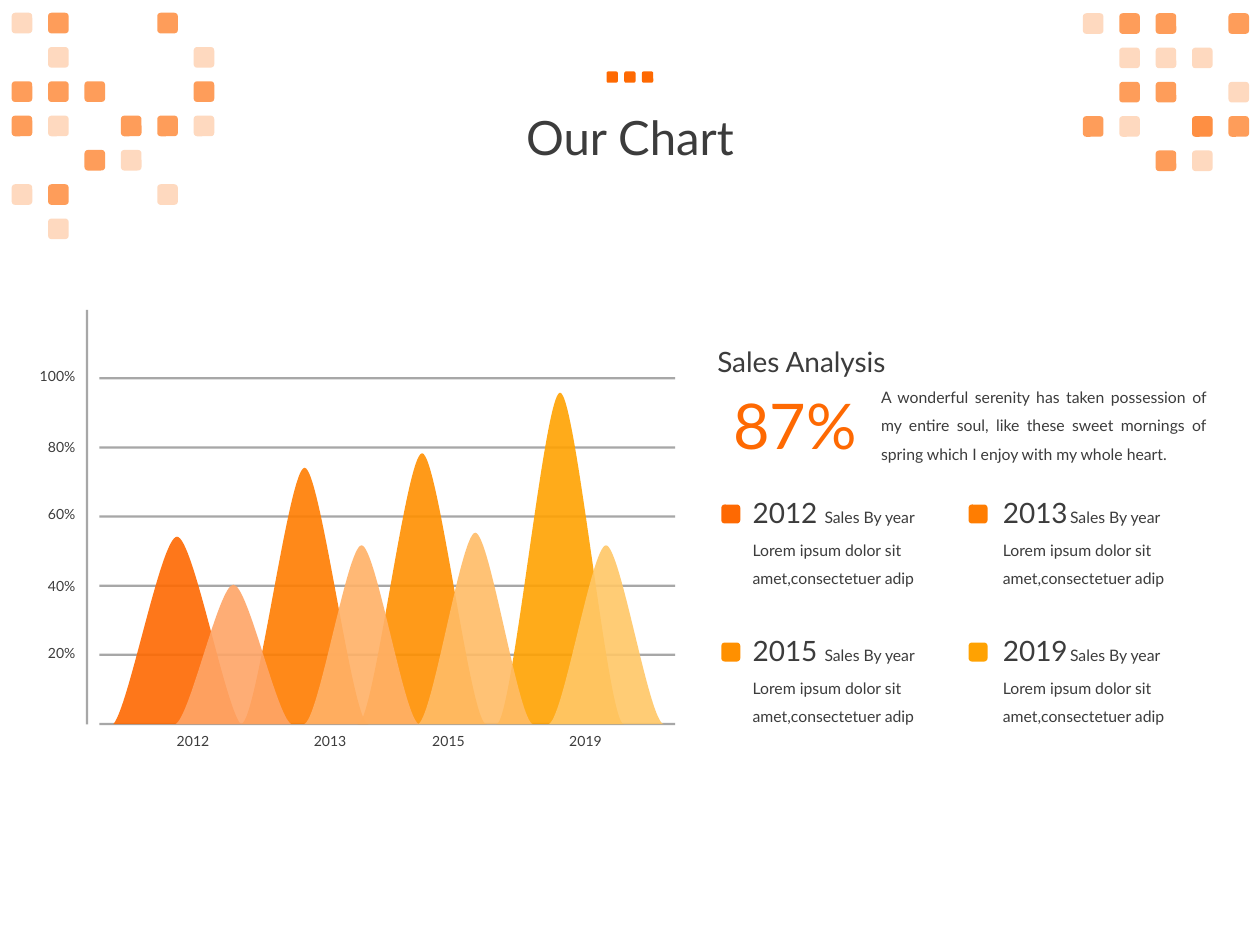
from typing import NamedTuple

from lxml.etree import SubElement
from pptx import Presentation
from pptx.dml.color import RGBColor
from pptx.enum.shapes import MSO_SHAPE
from pptx.enum.text import MSO_ANCHOR, PP_ALIGN
from pptx.oxml.ns import qn
from pptx.util import Pt

FONT = "Lato"
INK = "3C3C3C"
ORANGE = "FE6902"
GREY = "9E9E9E"
BASELINE = 413.8


class Peak(NamedTuple):
    left: float
    top: float
    width: float
    color: str
    lift: float = 0


class AxisLabel(NamedTuple):
    text: str
    position: float


class LegendColumn(NamedTuple):
    marker_left: float
    text_left: float
    caption_left: float


class LegendEntry(NamedTuple):
    year: str
    color: str
    column: int
    row: int


class Mosaic(NamedTuple):
    left: float
    top: float
    rows: tuple[str, ...]


PEAKS = (
    Peak(64.8, 306.7, 72.7, ORANGE, 0.1),
    Peak(283.7, 224.4, 72.7, "FFA202"),
    Peak(137.7, 267.3, 72.7, "FF7D01"),
    Peak(204.5, 259, 73.4, "FF9000"),
    Peak(100.3, 334.1, 66.2, "FEA567", 0.05),
    Peak(313.2, 311.6, 66.2, "FFC767"),
    Peak(238.5, 304.4, 66.2, "FFBC66"),
    Peak(173.5, 311.6, 66.2, "FFB167"),
)
PERCENT_LABELS = (
    AxisLabel("100%", 206.6),
    AxisLabel("80%", 247),
    AxisLabel("60%", 285.1),
    AxisLabel("40%", 326.2),
    AxisLabel("20%", 364.6),
)
YEAR_LABELS = (
    AxisLabel("2012", 110.3),
    AxisLabel("2013", 188.6),
    AxisLabel("2015", 256.3),
    AxisLabel("2019", 334.6),
)
LEGEND_COLUMNS = (LegendColumn(412.2, 423, 464.1), LegendColumn(553.5, 566, 604.4))
LEGEND = (
    LegendEntry("2012", ORANGE, 0, 0),
    LegendEntry("2013", "FF7D01", 1, 0),
    LegendEntry("2015", "FF9000", 0, 1),
    LegendEntry("2019", "FFA202", 1, 1),
)
TILE_OPACITIES = {" ": (), "l": (25,), "s": (65,), "b": (65, 25)}
MOSAICS = (
    Mosaic(6.7, 7.3, ("ls  s ", " l   l", "sss  s", "sl ssl", "  sl  ", "ls  l ", " l    ")),
    Mosaic(618.8, 7.6, ("lss s", " lll ", " ss l", "sl bs", "  sl ")),
)


def paint(shape, color: str, opacity: int = 100) -> None:
    shape.fill.solid()
    shape.fill.fore_color.rgb = RGBColor.from_string(color)
    shape.line.fill.background()
    shape.shadow.inherit = False
    if opacity < 100:
        color_element = next(shape.element.spPr.iter(qn("a:srgbClr")))
        SubElement(color_element, qn("a:alpha"), val=str(opacity * 1000))


def add_block(slide, kind, left: float, top: float, width: float, height: float,
              color: str, opacity: int = 100) -> None:
    shape = slide.shapes.add_shape(kind, Pt(left), Pt(top), Pt(width), Pt(height))
    paint(shape, color, opacity)


def write(shape, text: str, *, size: float, color: str = INK, align=PP_ALIGN.LEFT,
          spacing: float = 1, wrap: bool = True, anchor=MSO_ANCHOR.TOP) -> None:
    frame = shape.text_frame
    frame.word_wrap = wrap
    frame.vertical_anchor = anchor
    paragraph = frame.paragraphs[0]
    paragraph.alignment = align
    paragraph.line_spacing = spacing
    run = paragraph.add_run()
    run.text = text
    run.font.name = FONT
    run.font.size = Pt(size)
    run.font.color.rgb = RGBColor.from_string(color)


def add_text(slide, text: str, left: float, top: float, width: float, height: float,
             **text_format) -> None:
    shape = slide.shapes.add_textbox(Pt(left), Pt(top), Pt(width), Pt(height))
    write(shape, text, **text_format)


def bend_segments(shape) -> None:
    segments = list(shape.element.spPr.iter(qn("a:lnTo")))
    for start in range(0, len(segments), 3):
        triple = segments[start:start + 3]
        curve = triple[0].makeelement(qn("a:cubicBezTo"), {})
        triple[0].addprevious(curve)
        for segment in triple:
            curve.append(segment[0])
            segment.getparent().remove(segment)


def add_peak(slide, peak: Peak) -> None:
    foot = BASELINE - peak.lift * (BASELINE - peak.top)
    outline = (
        (0, BASELINE), (0.125, foot), (0.375, peak.top), (0.5, peak.top),
        (0.625, peak.top), (0.875, foot), (1, BASELINE),
    )
    points = [(Pt(peak.left + share * peak.width), Pt(y)) for share, y in outline]
    builder = slide.shapes.build_freeform(*points[0])
    builder.add_line_segments(points[1:], close=True)
    shape = builder.convert_to_shape()
    bend_segments(shape)
    paint(shape, peak.color, 90)


def add_legend_entry(slide, entry: LegendEntry) -> None:
    column = LEGEND_COLUMNS[entry.column]
    top = 279.8 + 78.9 * entry.row
    add_text(slide, entry.year, column.text_left, top, 65, 29.5, size=16)
    add_text(slide, "Sales By year", column.caption_left, top + 6.8, 80, 16, size=9)
    add_text(slide, "Lorem ipsum dolor sit amet,consectetuer adip",
             column.text_left, top + 20.2, 119, 38, size=9, spacing=1.5)
    add_block(slide, MSO_SHAPE.ROUNDED_RECTANGLE, column.marker_left, top + 8.5,
              10.8, 10.8, entry.color)


def add_mosaic(slide, mosaic: Mosaic) -> None:
    for row, tiles in enumerate(mosaic.rows):
        for column, tile in enumerate(tiles):
            for opacity in TILE_OPACITIES[tile]:
                add_block(slide, MSO_SHAPE.ROUNDED_RECTANGLE, mosaic.left + 20.8 * column,
                          mosaic.top + 19.6 * row, 11.8, 11.8, ORANGE, opacity)


def main() -> None:
    presentation = Presentation()
    presentation.slide_width, presentation.slide_height = Pt(720), Pt(540)
    slide = presentation.slides.add_slide(presentation.slide_layouts[5])

    title = slide.shapes.title
    title.left, title.top, title.width, title.height = Pt(49.7), Pt(28), Pt(620.6), Pt(104.4)
    write(title, "Our Chart", size=27, align=PP_ALIGN.CENTER, spacing=0.9,
          anchor=MSO_ANCHOR.MIDDLE)

    for index in range(6):
        add_block(slide, MSO_SHAPE.RECTANGLE, 56.8, 215.5 + 39.5 * index, 329, 1.4, GREY, 90)
    add_block(slide, MSO_SHAPE.RECTANGLE, 49, 177.1, 1.4, 236.9, GREY, 90)
    for peak in PEAKS:
        add_peak(slide, peak)
    for label in PERCENT_LABELS:
        add_text(slide, label.text, 10.2, label.position, 40, 17, size=8, align=PP_ALIGN.RIGHT)
    for label in YEAR_LABELS:
        add_text(slide, label.text, label.position - 20, 415, 40, 17, size=8,
                 align=PP_ALIGN.CENTER)

    add_text(slide, "Sales Analysis", 402.8, 193.3, 117.4, 26.6, size=16, wrap=False)
    add_text(slide, "A wonderful serenity has taken possession of my entire soul, like these "
             "sweet mornings of spring which I enjoy with my whole heart.",
             496.4, 212.6, 199.8, 54, size=9, align=PP_ALIGN.JUSTIFY, spacing=1.5)
    add_text(slide, "87%", 412, 217.4, 86.4, 51, size=36, color=ORANGE, wrap=False)
    for entry in LEGEND:
        add_legend_entry(slide, entry)

    for mosaic in MOSAICS:
        add_mosaic(slide, mosaic)
    for index in range(3):
        add_block(slide, MSO_SHAPE.ROUNDED_RECTANGLE, 346.6 + 10.1 * index, 40.8, 6.5, 6.5, ORANGE)

    presentation.save("out.pptx")


main()
